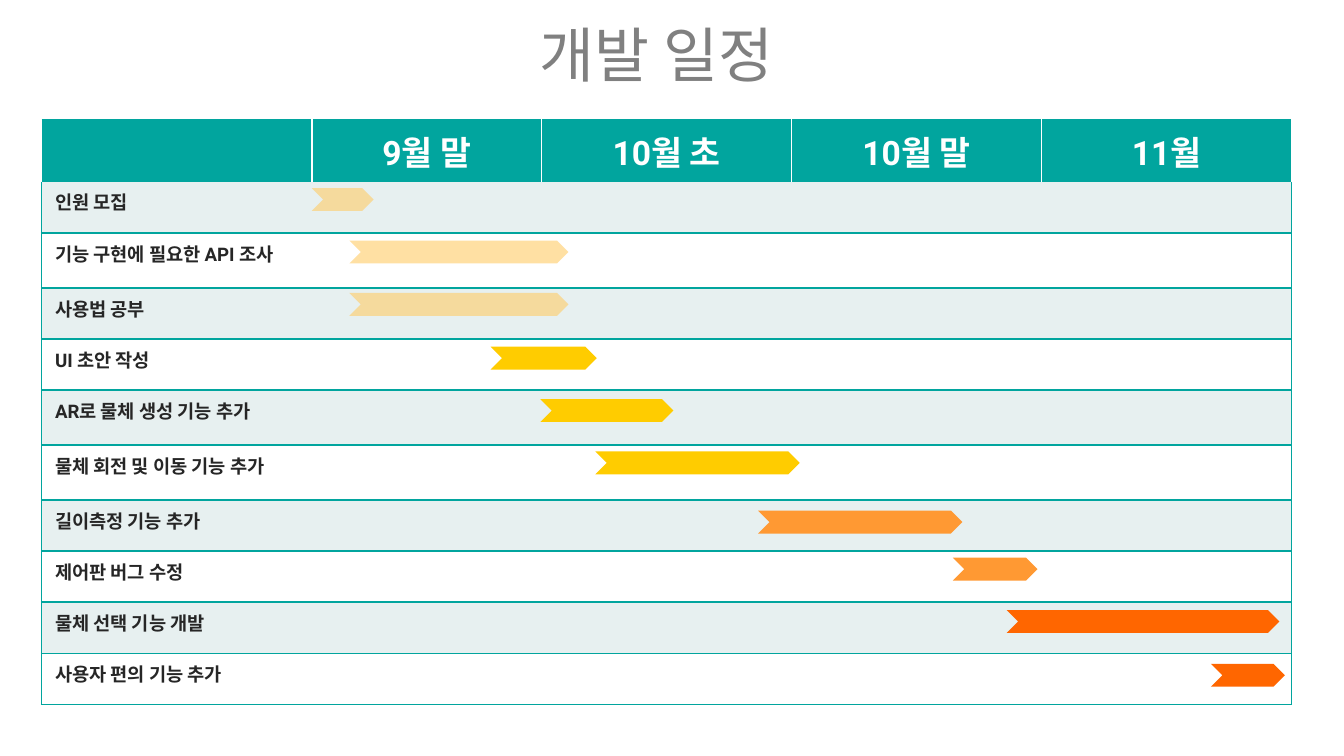
"""Build a one-page development schedule with a task table and timeline bars."""
from typing import NamedTuple

from lxml import etree
from pptx import Presentation
from pptx.dml.color import RGBColor
from pptx.enum.shapes import MSO_SHAPE
from pptx.enum.text import MSO_ANCHOR, PP_ALIGN
from pptx.oxml.ns import qn
from pptx.util import Inches, Pt

CHEVRON = MSO_SHAPE.CHEVRON
CENTER, JUSTIFY = PP_ALIGN.CENTER, PP_ALIGN.JUSTIFY
MIDDLE = MSO_ANCHOR.MIDDLE

FONT = "Roboto"
TEAL, WHITE, STRIPE = "01A59E", "FFFFFF", "E7F0F0"
GRAY, INK = "808080", "262626"
SAND, YELLOW, ORANGE, RED = "FFCC66", "FFCC00", "FF9933", "FF6600"
NO_STYLE = "{2D5ABB26-0587-4C30-8999-92F81FD0307C}"

TABLE_LEFT, TABLE_TOP = 0.31, 0.89
COLUMN_WIDTHS = [2.01, 1.71, 1.86, 1.86, 1.86]
HEADER_HEIGHT = 0.39
BAR_HEIGHT = 0.17
HEADINGS = ["", "9월 말", "10월 초", "10월 말", "11월"]


class Task(NamedTuple):
    name: str
    row_height: float
    bar_left: float
    bar_top: float
    bar_width: float
    color: str
    opacity: int = 100


TASKS = [
    Task("인원 모집", 0.38, 2.32, 1.4, 0.46, SAND, 60),
    Task("기능 구현에 필요한 API 조사", 0.41, 2.6, 1.79, 1.63, SAND, 60),
    Task("사용법 공부", 0.38, 2.6, 2.18, 1.63, SAND, 60),
    Task("UI 초안 작성", 0.38, 3.65, 2.58, 0.79, YELLOW),
    Task("AR로 물체 생성 기능 추가", 0.41, 4.02, 2.97, 0.99, YELLOW),
    Task("물체 회전 및 이동 기능 추가", 0.41, 4.43, 3.36, 1.52, YELLOW),
    Task("길이측정 기능 추가", 0.38, 5.64, 3.8, 1.52, ORANGE),
    Task("제어판 버그 수정", 0.38, 7.09, 4.15, 0.63, ORANGE),
    Task("물체 선택 기능 개발", 0.38, 7.49, 4.54, 2.03, RED),
    Task("사용자 편의 기능 추가", 0.38, 9.01, 4.94, 0.55, RED),
]


def rgb(color: str) -> RGBColor:
    return RGBColor.from_string(color)


def write(frame, text: str, *, size: float, color: str, align, bold: bool = False) -> None:
    para = frame.paragraphs[0]
    para.alignment = align
    if not text:
        etree.SubElement(para._p, qn("a:endParaRPr"), sz=str(size * 100))
        return
    span = para.add_run()
    span.text = text
    span.font.size, span.font.bold, span.font.name = Pt(size), bold, FONT
    span.font.color.rgb = rgb(color)


def format_cell(cell, fill: str, borders: dict[str, str]) -> None:
    properties = cell._tc.get_or_add_tcPr()
    for side in "LRTB":
        if side in borders:
            line = etree.SubElement(properties, qn(f"a:ln{side}"), w=str(Pt(1)))
            solid = etree.SubElement(line, qn("a:solidFill"))
            etree.SubElement(solid, qn("a:srgbClr"), val=borders[side])
    cell.fill.solid()
    cell.fill.fore_color.rgb = rgb(fill)


def add_title(page, text: str) -> None:
    title = page.shapes.title
    title.left, title.top = Inches(0.31), Inches(0.13)
    title.width, title.height = Inches(9.15), Inches(0.54)
    frame = title.text_frame
    frame.margin_left = frame.margin_right = frame.margin_top = frame.margin_bottom = 0
    frame.vertical_anchor = MIDDLE
    write(frame, text, size=32, color=GRAY, align=CENTER)


def add_schedule(page) -> None:
    heights = [HEADER_HEIGHT] + [task.row_height for task in TASKS]
    box = page.shapes.add_table(
        len(heights), len(COLUMN_WIDTHS), Inches(TABLE_LEFT), Inches(TABLE_TOP),
        Inches(sum(COLUMN_WIDTHS)), Inches(sum(heights)))
    table = box.table
    table._tbl.tblPr.find(qn("a:tableStyleId")).text = NO_STYLE
    for column, width in zip(table.columns, COLUMN_WIDTHS):
        column.width = Inches(width)
    for row, height in zip(table.rows, heights):
        row.height = Inches(height)

    last = len(HEADINGS) - 1
    for index, heading in enumerate(HEADINGS):
        cell = table.cell(0, index)
        borders = {"T": TEAL}
        if index > 0:
            borders["L"] = WHITE
        if index < last:
            borders["R"] = WHITE
        format_cell(cell, TEAL, borders)
        write(cell.text_frame, heading, size=18, color=WHITE, align=CENTER, bold=True)

    for number, task in enumerate(TASKS, start=1):
        for index in range(len(HEADINGS)):
            cell = table.cell(number, index)
            borders = {"B": TEAL}
            if number > 1:
                borders["T"] = TEAL
            if index == 0:
                borders["L"] = TEAL
            if index == last:
                borders["R"] = TEAL
            format_cell(cell, STRIPE if number % 2 else WHITE, borders)
            write(cell.text_frame, "" if index else task.name,
                  size=10, color=INK, align=JUSTIFY, bold=True)


def add_bar(page, task: Task) -> None:
    bar = page.shapes.add_shape(
        CHEVRON, Inches(task.bar_left), Inches(task.bar_top),
        Inches(task.bar_width), Inches(BAR_HEIGHT))
    bar.shadow.inherit = False
    bar.line.fill.background()
    bar.fill.solid()
    bar.fill.fore_color.rgb = rgb(task.color)
    if task.opacity < 100:
        color = bar._element.spPr.find(qn("a:solidFill"))[0]
        etree.SubElement(color, qn("a:alpha"), val=str(task.opacity * 1000))


def main() -> None:
    deck = Presentation()
    deck.slide_width, deck.slide_height = Inches(10), Inches(10) * 9 // 16
    page = deck.slides.add_slide(deck.slide_layouts.get_by_name("Title Only"))
    add_title(page, "개발 일정")
    add_schedule(page)
    for task in TASKS:
        add_bar(page, task)
    deck.save("out.pptx")


if __name__ == "__main__":
    main()
